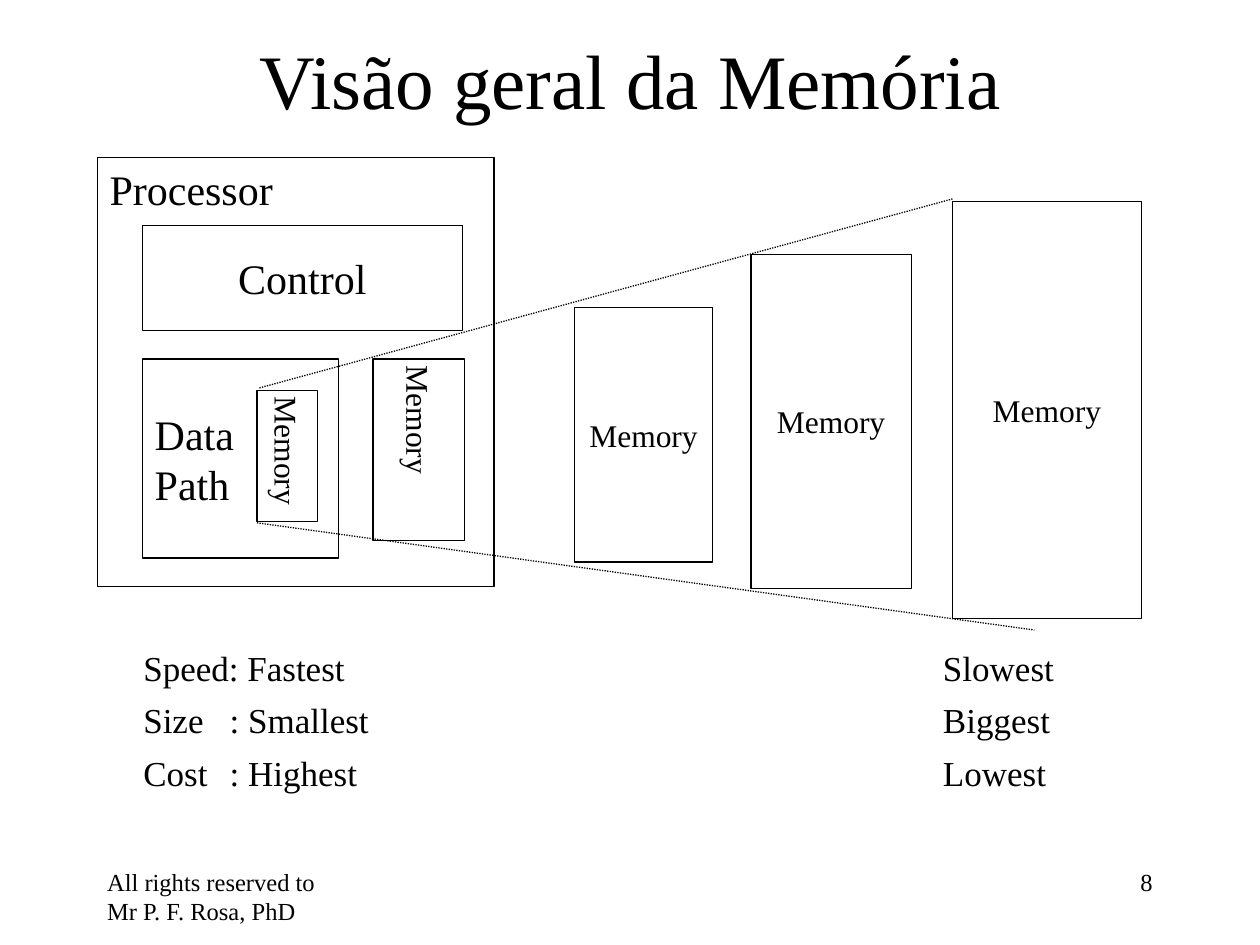
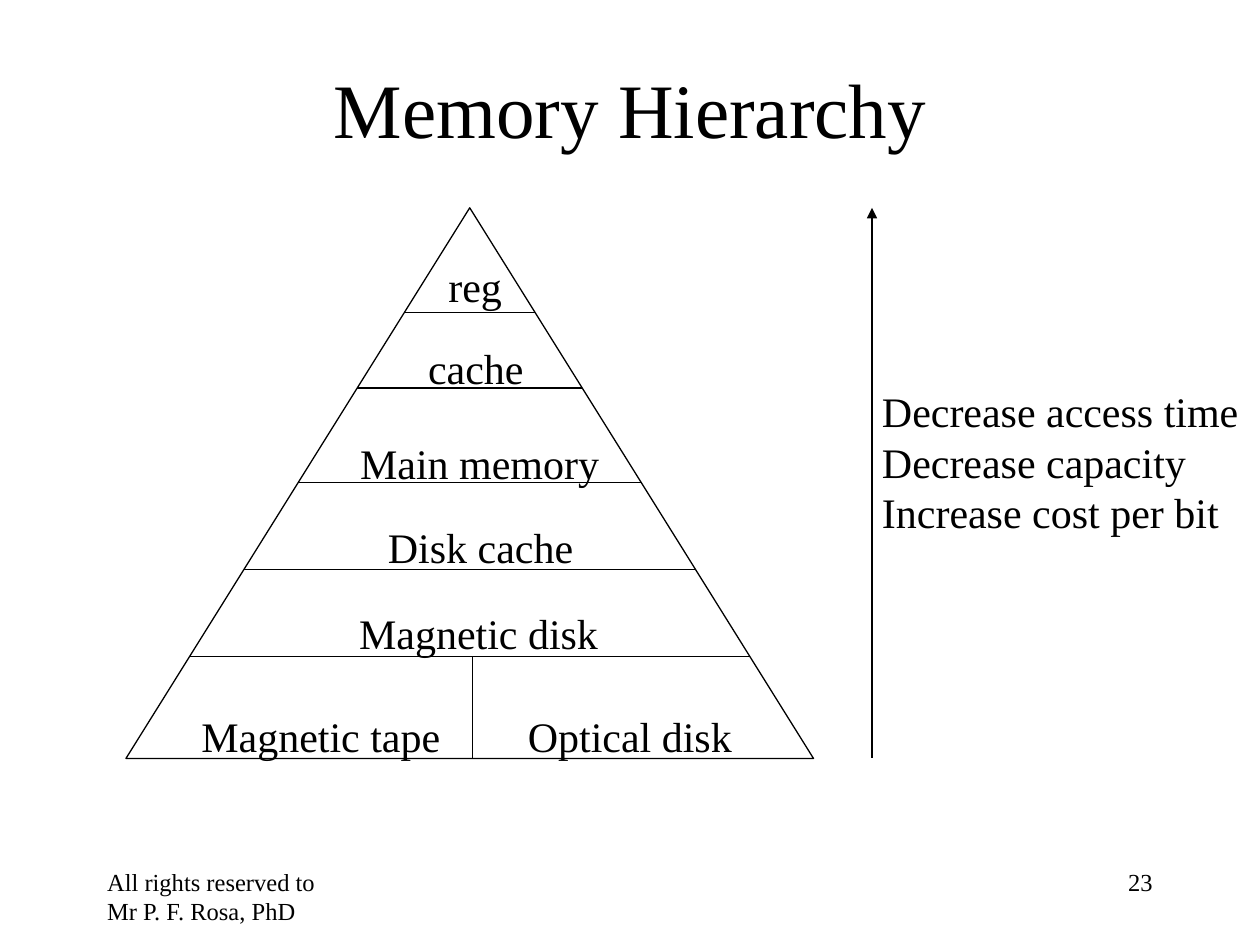
import dataclasses
import typing

import pptx
import pptx.dml.color
import pptx.enum.dml
import pptx.enum.shapes
import pptx.enum.text
import pptx.oxml.ns
import pptx.util

Cm, Pt = pptx.util.Cm, pptx.util.Pt
ALIGN = pptx.enum.text.PP_ALIGN
ANCHOR = pptx.enum.text.MSO_ANCHOR
FIT = pptx.enum.text.MSO_AUTO_SIZE
DOT = pptx.enum.dml.MSO_LINE.ROUND_DOT

# Shared style
COLORS = {"ink": "000000"}
FONT = "Times New Roman"
THIN = Pt(0.74)
OWNER = "All rights reserved to Mr P. F. Rosa, PhD"


@dataclasses.dataclass
class Box:
    """A framed part, in centimetres."""
    text: str
    left: float
    top: float
    width: float
    height: float
    size: int = 18
    align: typing.Any = ALIGN.CENTER
    anchor: typing.Any = ANCHOR.MIDDLE
    turned: bool = False


@dataclasses.dataclass
class Label:
    """A line of text inside the pyramid, in centimetres."""
    text: str
    left: float
    top: float
    width: float


def ink() -> pptx.dml.color.RGBColor:
    return pptx.dml.color.RGBColor.from_string(COLORS["ink"])


def node(parent, tag: str, **attrs: str):
    """Append a drawing element to its parent."""
    child = parent.makeelement(pptx.oxml.ns.qn(tag), attrs)
    parent.append(child)
    return child


def put(frame, text: str, size: int = 24, align=ALIGN.LEFT, anchor=ANCHOR.TOP,
        wrap: bool = True, grow: bool = False, before: float = 0) -> None:
    """Write text into a frame, one paragraph a line."""
    frame.word_wrap = wrap
    frame.vertical_anchor = anchor
    frame.auto_size = FIT.SHAPE_TO_FIT_TEXT if grow else FIT.NONE
    for i, line in enumerate(text.split("\n")):
        para = frame.add_paragraph() if i else frame.paragraphs[0]
        para.alignment = align
        para.space_before = Pt(before)
        run = para.add_run()
        run.text = line
        run.font.name, run.font.size = FONT, Pt(size)
        run.font.color.rgb = ink()


def write(shapes, text: str, left: float, top: float, width: float,
          height: float, **form):
    """Add a plain text box."""
    area = shapes.add_textbox(Cm(left), Cm(top), Cm(width), Cm(height))
    put(area.text_frame, text, **form)
    return area


def set_tabs(area, *stops: float) -> None:
    """Give every paragraph of a text box the same tab stops."""
    for para in area.element.txBody.p_lst:
        tabs = node(para.get_or_add_pPr(), "a:tabLst")
        for stop in stops:
            node(tabs, "a:tab", pos=str(int(Cm(stop))), algn="l")


def trace(shape) -> None:
    """Give a shape a thin outline, no fill and no shadow."""
    shape.shadow.inherit = False
    shape.fill.background()
    shape.line.color.rgb = ink()
    shape.line.width = THIN


def frame_box(shapes, box: Box) -> None:
    rect = shapes.add_shape(pptx.enum.shapes.MSO_SHAPE.RECTANGLE, Cm(box.left),
                            Cm(box.top), Cm(box.width), Cm(box.height))
    trace(rect)
    area = rect.text_frame
    put(area, box.text, size=box.size, align=box.align, anchor=box.anchor)
    if box.turned:
        rect.element.txBody.bodyPr.set("vert", "eaVert")
        area.margin_left = area.margin_right = Cm(0.13)
        area.margin_top = area.margin_bottom = Cm(0.13)


def rule(shapes, x1: float, y1: float, x2: float, y2: float,
         dash=None, head: bool = False) -> None:
    """Draw a straight line, with an arrowhead at its start if asked."""
    line = shapes.add_connector(pptx.enum.shapes.MSO_CONNECTOR.STRAIGHT,
                                Cm(x1), Cm(y1), Cm(x2), Cm(y2))
    line.line.color.rgb = ink()
    line.line.width = THIN
    if dash:
        line.line.dash_style = dash
    if head:
        node(line.element.spPr.ln, "a:headEnd", type="triangle")
    node(line.element.spPr, "a:effectLst")


def start(deck, title: str, top: float, height: float, number: int):
    """Add a slide with its title, footer and number."""
    slide = deck.slides.add_slide(deck.slide_layouts[5])
    write(slide.shapes, OWNER, 1.91, 17.35, 5.28, 1.27, size=14)
    write(slide.shapes, str(number), 18.21, 17.35, 5.28, 1.27, size=14,
          align=ALIGN.RIGHT)
    head = slide.shapes.title
    head.left, head.top = Cm(1.91), Cm(top)
    head.width, head.height = Cm(21.59), Cm(height)
    put(head.text_frame, title, size=44, align=ALIGN.CENTER,
        anchor=ANCHOR.MIDDLE)
    return slide


BOXES = [
    Box("Processor", 1.96, 3.18, 8, 8.64, 24, ALIGN.LEFT, ANCHOR.TOP),
    Box("Control", 2.87, 4.55, 6.45, 2.11, 24),
    Box("Data\nPath", 2.87, 7.24, 3.96, 4.01, 24, ALIGN.LEFT),
    Box("Memory", 5.18, 7.87, 1.22, 2.64, turned=True),
    Box("Memory", 7.52, 7.24, 1.85, 3.66, turned=True),
    Box("Memory", 11.58, 6.2, 2.79, 5.13),
    Box("Memory", 15.14, 5.13, 3.23, 6.73),
    Box("Memory", 19.2, 4.06, 3.81, 8.41),
]
TRADES = ("Speed: Fastest\tSlowest\n"
          "Size\t: Smallest\tBiggest\n"
          "Cost\t: Highest\tLowest")

# Pyramid: apex, base, and the heights of its rungs
APEX_X, APEX_Y = 9.47, 4.19
BASE_Y, HALF = 15.29, 6.93
RUNGS = [6.3, 7.82, 9.73, 11.48, 13.23]
MID = 9.53
LABELS = [
    Label("reg", 8.79, 5.13, 1.8),
    Label("cache", 8.38, 6.78, 2.7),
    Label("Main memory", 7.01, 8.69, 5.6),
    Label("Disk cache", 7.57, 10.39, 4.5),
    Label("Magnetic disk", 6.99, 12.12, 5.6),
    Label("Magnetic tape", 3.81, 14.2, 5.6),
    Label("Optical disk", 10.39, 14.2, 4.9),
]
TRENDS = "Decrease access time\nDecrease capacity\nIncrease cost per bit"


def survey(deck) -> None:
    """Processor and the growing memories beside it."""
    slide = start(deck, "Visão geral da Memória", 0, 3.18, 8)
    group = slide.shapes.add_group_shape().shapes
    for box in BOXES:
        frame_box(group, box)
    rule(group, 5.23, 7.82, 19.2, 4.01, dash=DOT)
    rule(group, 5.18, 10.54, 20.85, 12.7, dash=DOT)
    area = write(slide.shapes, TRADES, 2.64, 12.9, 20.47, 3.25, size=20,
                 grow=True, before=6.2)
    set_tabs(area, 1.74, 16.12)


def ladder(deck) -> None:
    """Pyramid of memory levels with an arrow beside it."""
    slide = start(deck, "Memory Hierarchy", 1.02, 2.29, 23)
    group = slide.shapes.add_group_shape().shapes
    edge = group.build_freeform(Cm(APEX_X - HALF), Cm(BASE_Y))
    edge.add_line_segments([(Cm(APEX_X), Cm(APEX_Y)),
                            (Cm(APEX_X + HALF), Cm(BASE_Y))], close=True)
    trace(edge.convert_to_shape())
    for y in RUNGS:
        reach = HALF * (y - APEX_Y) / (BASE_Y - APEX_Y)
        rule(group, APEX_X - reach, y, APEX_X + reach, y)
    rule(group, MID, BASE_Y, MID, RUNGS[-1])
    for item in LABELS:
        write(group, item.text, item.left, item.top, item.width, 1.27)
    rule(slide.shapes, 17.58, APEX_Y, 17.58, BASE_Y, head=True)
    write(slide.shapes, TRENDS, 17.53, 7.65, 7.7, 3.3, wrap=False, grow=True)


deck = pptx.Presentation()
deck.slide_width, deck.slide_height = Cm(25.4), Cm(19.05)
survey(deck)
ladder(deck)
deck.save("out.pptx")
